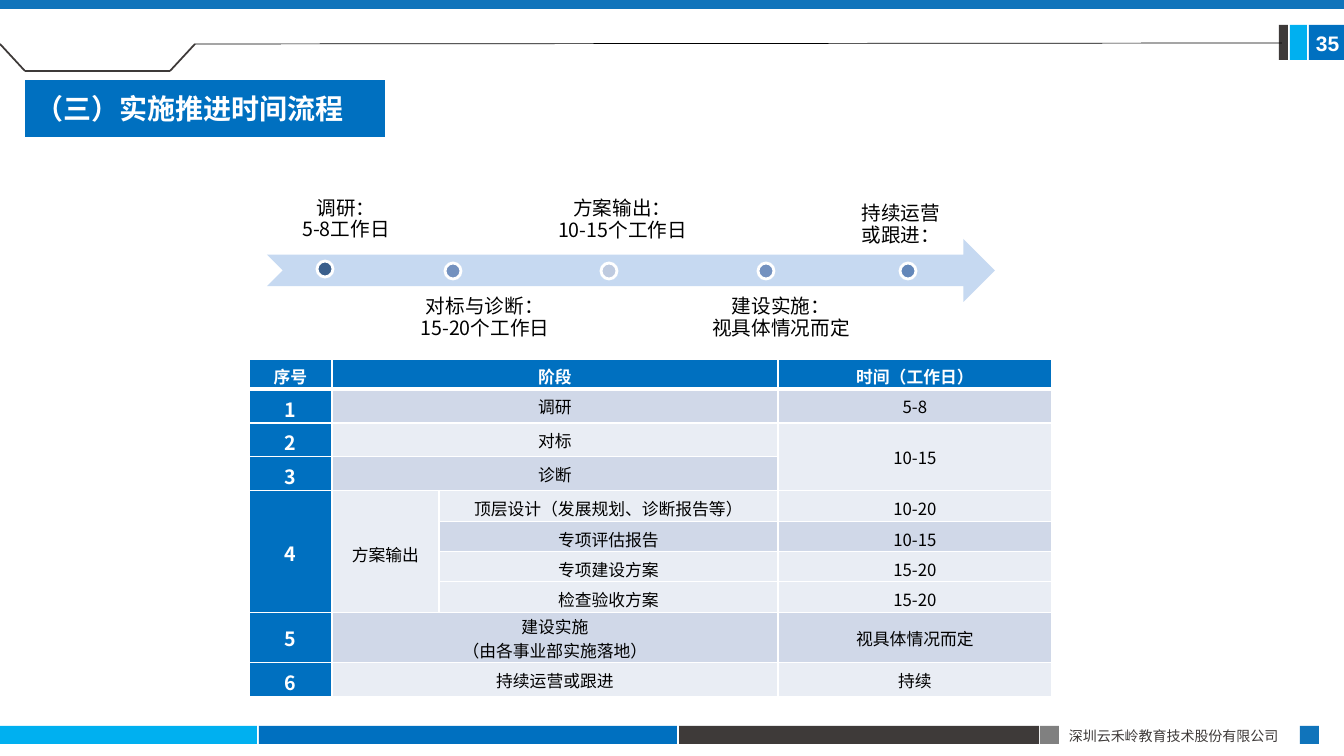
import pptx
import pptx.util
import pptx.dml.color
import pptx.enum.shapes
import pptx.enum.text
import pptx.oxml
import pptx.oxml.ns

RGBColor = pptx.dml.color.RGBColor
SHAPE = pptx.enum.shapes.MSO_SHAPE
ANCHOR = pptx.enum.text.MSO_ANCHOR
ALIGN = pptx.enum.text.PP_ALIGN

BLUE = RGBColor(0x00, 0x70, 0xC0)
STEEL = RGBColor(0x10, 0x74, 0xBB)
CYAN = RGBColor(0x00, 0xB0, 0xF0)
CHARCOAL = RGBColor(0x3E, 0x3A, 0x39)
GREY = RGBColor(0x80, 0x80, 0x80)
WHITE = RGBColor(0xFF, 0xFF, 0xFF)
BLACK = RGBColor(0x00, 0x00, 0x00)
ARROW = RGBColor(0xC6, 0xD9, 0xF1)
DARK_BAND = RGBColor(0xD0, 0xD8, 0xE8)
LIGHT_BAND = RGBColor(0xE9, 0xED, 0xF4)
NAVY_DOT = RGBColor(0x3A, 0x5F, 0x8C)
MID_DOT = RGBColor(0x73, 0x91, 0xBF)
PALE_DOT = RGBColor(0xBE, 0xCA, 0xDF)
LAST_DOT = RGBColor(0x63, 0x87, 0xB9)

CJK = "Noto Sans CJK SC"
PX = 914400 / 100.8

TITLE = "（三）实施推进时间流程"
COMPANY = "深圳云禾岭教育技术股份有限公司"
PAGE_NUMBER = "35"

BARS = [
    (0, 0, 1344, 9, STEEL),
    (0, 726, 257, 18, CYAN),
    (259, 726, 418, 18, BLUE),
    (679, 726, 360, 18, CHARCOAL),
    (1040, 726, 19, 18, GREY),
    (1300, 726, 19, 18, STEEL),
    (1279, 25, 9, 35, CHARCOAL),
    (1290, 25, 17, 35, CYAN),
    (1309, 25, 35, 35, BLUE),
]

HEADER_LINES = [
    (0, 44, 25, 71, CHARCOAL, 1.25),
    (25, 71, 170, 71, CHARCOAL, 1.25),
    (170, 71, 195, 44, CHARCOAL, 1.25),
    (195, 44, 1282, 43, BLACK, 0.5),
]

MILESTONES = [
    (["调研：", "5-8工作日"], (267, 192, 158, 57), ANCHOR.BOTTOM, (317, 261), NAVY_DOT),
    (["对标与诊断：", "15-20个工作日"], (394, 294, 182, 64), ANCHOR.TOP, (445, 263), MID_DOT),
    (["方案输出：", "10-15个工作日"], (532, 191, 181, 58), ANCHOR.BOTTOM, (601, 263), PALE_DOT),
    (["建设实施：", "视具体情况而定"], (693, 294, 176, 64), ANCHOR.TOP, (758, 263), MID_DOT),
    (["持续运营", "或跟进："], (822, 191, 158, 63), ANCHOR.BOTTOM, (900, 263), LAST_DOT),
]
DOT = 16

COLUMNS = [83, 107, 339, 274]
SCHEDULE = [
    (30, BLUE, ["序号", "阶段", "", "时间（工作日）"]),
    (34, DARK_BAND, ["1", "调研", "", "5-8"]),
    (34, LIGHT_BAND, ["2", "对标", "", "10-15"]),
    (34, DARK_BAND, ["3", "诊断", "", ""]),
    (31, LIGHT_BAND, ["4", "方案输出", "顶层设计（发展规划、诊断报告等）", "10-20"]),
    (30, DARK_BAND, ["", "", "专项评估报告", "10-15"]),
    (30, LIGHT_BAND, ["", "", "专项建设方案", "15-20"]),
    (31, LIGHT_BAND, ["", "", "检查验收方案", "15-20"]),
    (50, DARK_BAND, ["5", "建设实施\n（由各事业部实施落地）", "", "视具体情况而定"]),
    (34, LIGHT_BAND, ["6", "持续运营或跟进", "", "持续"]),
]
MERGES = [((row, 1), (row, 2)) for row in (0, 1, 2, 3, 8, 9)]
MERGES += [((2, 3), (3, 3)), ((4, 0), (7, 0)), ((4, 1), (7, 1))]


def px(*lengths):
    return [round(length * PX) for length in lengths]


def write(frame, lines, size=12, color=BLACK, bold=False, font=CJK, align=ALIGN.LEFT,
          anchor=ANCHOR.MIDDLE, spacing=None, after=None):
    frame.vertical_anchor = anchor
    for index, line in enumerate(lines):
        para = frame.add_paragraph() if index else frame.paragraphs[0]
        para.alignment = align
        if spacing:
            para.line_spacing = pptx.util.Pt(spacing)
        if after:
            para.space_after = pptx.util.Pt(after)
        span = para.add_run()
        span.text = line
        span.font.size = pptx.util.Pt(size)
        span.font.bold = bold
        span.font.color.rgb = color
        span.font.name = font
        east = span.font._element.makeelement(pptx.oxml.ns.qn("a:ea"), {"typeface": font})
        span.font._element.find(pptx.oxml.ns.qn("a:latin")).addnext(east)


def add_text(page, bounds, lines, inset=0, wrap=True, **style):
    frame = page.shapes.add_textbox(*px(*bounds)).text_frame
    frame.word_wrap = wrap
    (frame.margin_left, frame.margin_top,
     frame.margin_right, frame.margin_bottom) = px(*[inset] * 4)
    write(frame, lines, **style)


def add_filled(page, kind, bounds, color, outline=None):
    shape = page.shapes.add_shape(kind, *px(*bounds))
    shape.shadow.inherit = False
    shape.fill.solid()
    shape.fill.fore_color.rgb = color
    if outline:
        shape.line.color.rgb = outline
        shape.line.width = pptx.util.Pt(2)
    else:
        shape.line.fill.background()


def add_line(page, ends, color, width):
    line = page.shapes.add_connector(pptx.enum.shapes.MSO_CONNECTOR.STRAIGHT, *px(*ends))
    line.line.color.rgb = color
    line.line.width = pptx.util.Pt(width)
    pptx.oxml.ns.qn("a:effectLst")
    properties = line._element.spPr
    properties.append(properties.makeelement(pptx.oxml.ns.qn("a:effectLst"), {}))


def set_borders(cell, widths):
    properties = cell._tc.get_or_add_tcPr()
    for side, width in widths.items():
        properties.append(pptx.oxml.parse_xml(
            f'<a:ln{side} {pptx.oxml.ns.nsdecls("a")} w="{pptx.util.Pt(width)}">'
            f'<a:solidFill><a:srgbClr val="{WHITE}"/></a:solidFill></a:ln{side}>'))


def add_schedule(page):
    bounds = (249, 359, sum(COLUMNS), sum(row[0] for row in SCHEDULE))
    table = page.shapes.add_table(len(SCHEDULE), len(COLUMNS), *px(*bounds)).table
    for column, width in zip(table.columns, px(*COLUMNS)):
        column.width = width
    for start, end in MERGES:
        table.cell(*start).merge(table.cell(*end))
    for row, (height, band, texts) in enumerate(SCHEDULE):
        table.rows[row].height = px(height)[0]
        for column, text in enumerate(texts):
            cell = table.cell(row, column)
            strong = row == 0 or column == 0
            size = 14 if row and column == 0 else 12
            lines = text.split("\n") if text else []
            spare = height - (29 if size == 14 else 25) * max(1, len(lines)) + (len(lines) > 1)
            top = min(5, spare)
            cell.margin_top, cell.margin_bottom = px(top, min(5, spare - top))
            set_borders(cell, {"L": 1, "R": 1, "T": 3 if row == 1 else 1,
                               "B": 1 if row else 3})
            cell.fill.solid()
            cell.fill.fore_color.rgb = BLUE if strong else band
            write(cell.text_frame, lines, size=size, bold=strong,
                  color=WHITE if strong else BLACK, align=ALIGN.CENTER)
            cell.vertical_anchor = ANCHOR.MIDDLE


def main():
    deck = pptx.Presentation()
    deck.slide_width, deck.slide_height = px(1344, 756)
    page = deck.slides.add_slide(deck.slide_layouts[5])

    for *bounds, color in BARS:
        add_filled(page, SHAPE.RECTANGLE, bounds, color)
    for *ends, color, width in HEADER_LINES:
        add_line(page, ends, color, width)
    add_text(page, (1069, 722, 225, 27), [COMPANY], size=10, color=CHARCOAL)
    add_text(page, (1316, 26, 28, 35), [PAGE_NUMBER], wrap=False, size=15,
             color=WHITE, bold=True, font="Arial")

    title = page.shapes.title
    title.left, title.top, title.width, title.height = px(25, 80, 360, 57)
    title.fill.solid()
    title.fill.fore_color.rgb = BLUE
    title.text_frame.auto_size = pptx.enum.text.MSO_AUTO_SIZE.NONE
    write(title.text_frame, [TITLE], size=20, color=WHITE, bold=True)

    add_schedule(page)
    add_filled(page, SHAPE.NOTCHED_RIGHT_ARROW, (267, 239, 728, 63), ARROW)
    for lines, bounds, anchor, place, color in MILESTONES:
        add_text(page, bounds, lines, inset=8, size=14, align=ALIGN.CENTER,
                 anchor=anchor, spacing=10.8, after=4.9)
        add_filled(page, SHAPE.OVAL, (*place, DOT, DOT), color, outline=WHITE)

    deck.save("out.pptx")


if __name__ == "__main__":
    main()
